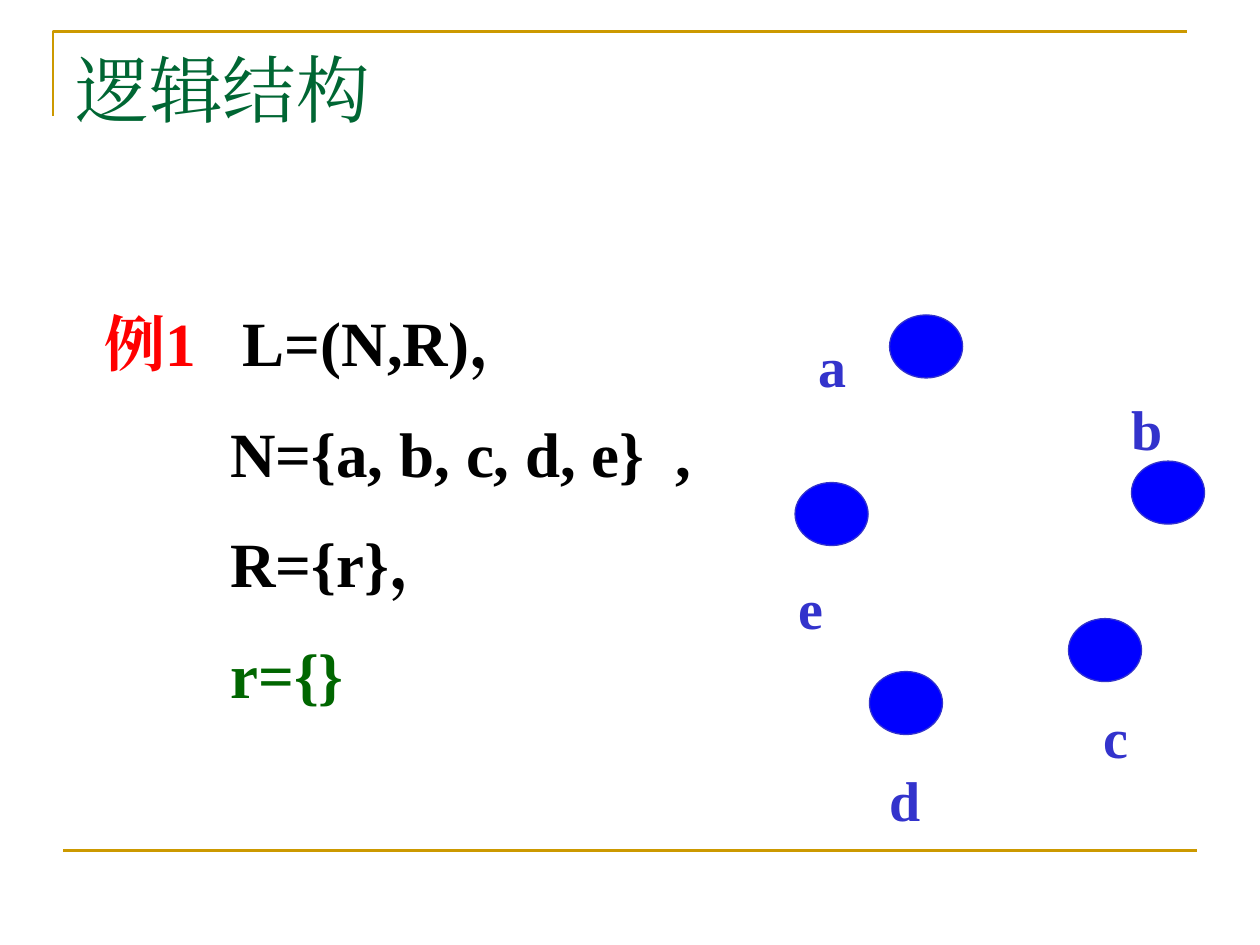
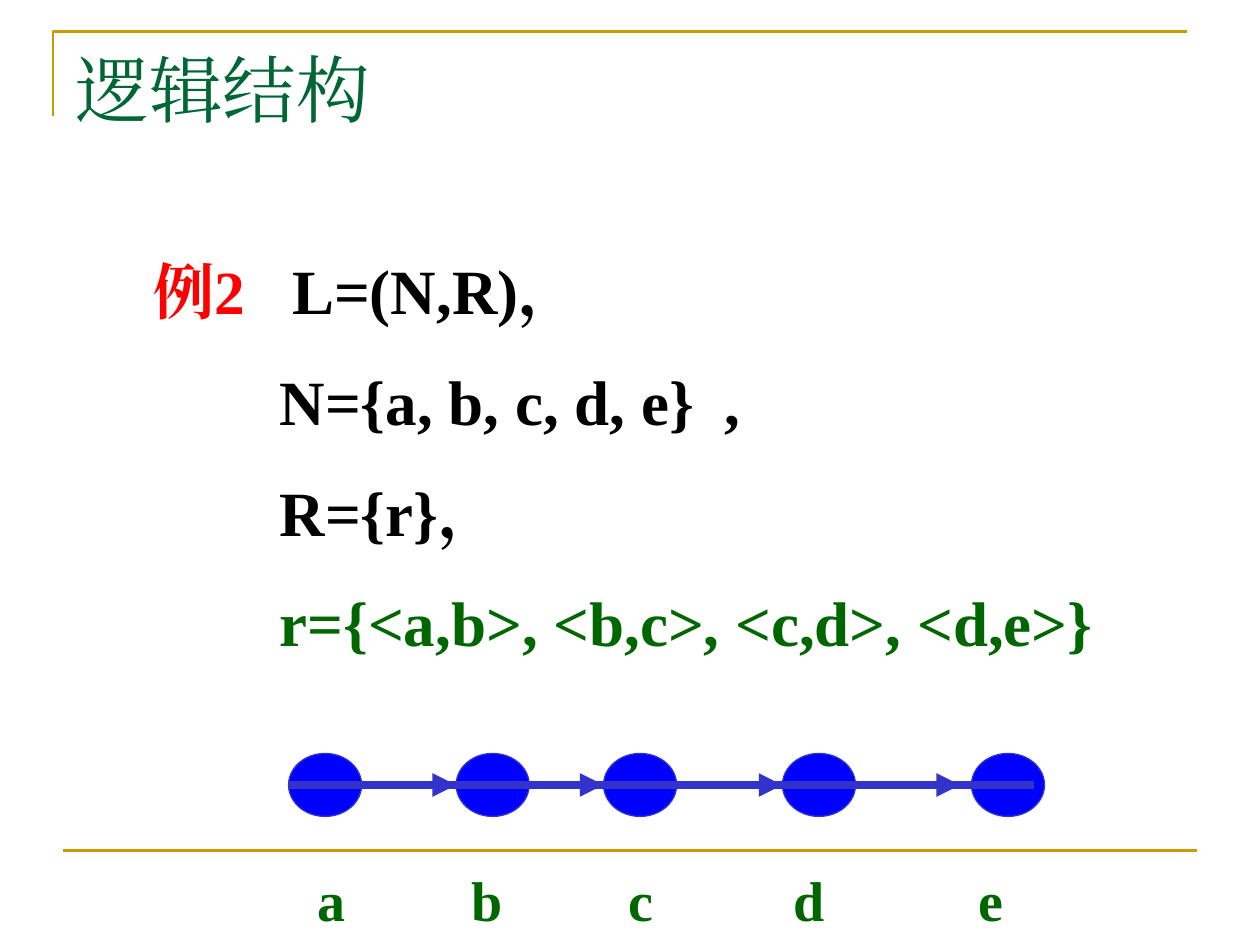
from lxml.etree import SubElement
from pptx import Presentation
from pptx.dml.color import RGBColor
from pptx.enum.shapes import MSO_CONNECTOR, MSO_SHAPE
from pptx.enum.text import MSO_ANCHOR, PP_ALIGN
from pptx.oxml.ns import qn
from pptx.util import Inches, Pt

GOLD = RGBColor(0xCC, 0x99, 0x00)
TITLE_GREEN = RGBColor(0x00, 0x66, 0x33)
GREEN = RGBColor(0x00, 0x66, 0x00)
RED = RGBColor(0xFF, 0x00, 0x00)
BLACK = RGBColor(0x00, 0x00, 0x00)
NODE_BLUE = RGBColor(0x00, 0x00, 0xFF)
EDGE_BLUE = RGBColor(0x33, 0x33, 0xCC)
FONT = "Times New Roman"
NODE_WIDTH, NODE_HEIGHT = 0.58, 0.5


def write(para, text, size=36, color=BLACK, bold=True, tabs=(), tab_align="l"):
    """Append a formatted span; tabs are stops in inches from the text edge."""
    if tabs:
        tab_list = SubElement(para._p.get_or_add_pPr(), qn("a:tabLst"))
        for stop in tabs:
            SubElement(tab_list, qn("a:tab"), pos=str(Inches(stop)), algn=tab_align)
    span = para.add_run()
    span.text = text
    span.font.size = Pt(size)
    span.font.bold = bold
    span.font.color.rgb = color
    span.font.name = FONT
    SubElement(span._r.get_or_add_rPr(), qn("a:ea"), typeface=FONT)


def add_line(page, x1, y1, x2, y2, color, width, arrow=False):
    line = page.shapes.add_connector(
        MSO_CONNECTOR.STRAIGHT, Inches(x1), Inches(y1), Inches(x2), Inches(y2))
    line.line.color.rgb = color
    line.line.width = Pt(width)
    if arrow:
        SubElement(line.line._get_or_add_ln(), qn("a:tailEnd"), type="triangle")
    SubElement(line._element.spPr, qn("a:effectLst"))


deck = Presentation()
deck.slide_width, deck.slide_height = Inches(10), Inches(7.5)

# Each example: number, definition box (left, top, width), relation, node corners
examples = [
    ("例1", (0.73, 2.31, 10.33), "r={}",
     [(7.06, 2.5), (8.98, 3.66), (8.48, 4.91), (6.9, 5.33), (6.31, 3.83)]),
    ("例2", (1.12, 1.9, 8.29), "r={<a,b>, <b,c>, <c,d>, <d,e>}",
     [(x, 5.98) for x in (2.29, 3.62, 4.79, 6.21, 7.71)]),
]

for number, (left, top, width), relation, nodes in examples:
    page = deck.slides.add_slide(deck.slide_layouts[5])

    # Frame and title
    corner = page.shapes.build_freeform(Inches(0.42), Inches(0.92))
    corner.add_line_segments(
        [(Inches(0.42), Inches(0.25)), (Inches(9.42), Inches(0.25))], close=False)
    frame = corner.convert_to_shape()
    frame.shadow.inherit = False
    frame.fill.background()
    frame.line.color.rgb = GOLD
    frame.line.width = Pt(1.5)
    add_line(page, 0.5, 6.75, 9.5, 6.75, GOLD, 1.5)

    title = page.shapes.title
    title.left, title.top = Inches(0.5), Inches(0.3)
    title.width, title.height = Inches(9), Inches(1.25)
    title.text_frame.vertical_anchor = MSO_ANCHOR.TOP
    heading = title.text_frame.paragraphs[0]
    heading.alignment = PP_ALIGN.LEFT
    write(heading, "逻辑结构", size=42, color=TITLE_GREEN, bold=False)

    # Definition of the structure
    box = page.shapes.add_textbox(Inches(left), Inches(top), Inches(width), Inches(3.4))
    box.text_frame.word_wrap = True
    box.text_frame.margin_top = Inches(0.1)
    para = box.text_frame.paragraphs[0]
    write(para, number, size=35, color=RED, tabs=[1.1])
    write(para, "\tL=(N,R)，")
    for text, color in (("N={a, b, c, d, e}\t,", BLACK), ("R={r}，", BLACK),
                        (relation, GREEN)):
        para = box.text_frame.add_paragraph()
        para.space_before = Pt(20)
        write(para, "\t" + text, color=color, tabs=[1, 4.53])

    # Nodes
    for x, y in nodes:
        node = page.shapes.add_shape(MSO_SHAPE.OVAL, Inches(x), Inches(y),
                                     Inches(NODE_WIDTH), Inches(NODE_HEIGHT))
        node.shadow.inherit = False
        node.fill.solid()
        node.fill.fore_color.rgb = NODE_BLUE
        node.line.color.rgb = EDGE_BLUE
        node.line.width = Pt(0.75)

    if number == "例1":
        # Unconnected nodes, each with its own label
        label_corners = [(6.23, 2.58), (8.73, 3.08), (8.48, 5.53), (6.81, 6.03), (6.06, 4.5)]
        for name, (x, y) in zip("abcde", label_corners):
            label = page.shapes.add_textbox(Inches(x), Inches(y), Inches(0.75), Inches(0.63))
            label.text_frame.word_wrap = True
            para = label.text_frame.paragraphs[0]
            para.alignment = PP_ALIGN.CENTER
            write(para, name, size=32, color=EDGE_BLUE)
    else:
        # Chain of nodes with one row of labels
        chain_y = 6.23
        add_line(page, 2.29, chain_y, 8.21, chain_y, EDGE_BLUE, 4.5)
        for tip in (3.62, 4.79, 6.21, 7.62):
            add_line(page, tip - 0.17, chain_y, tip, chain_y, EDGE_BLUE, 4.5, arrow=True)
        labels = page.shapes.add_textbox(Inches(1.87), Inches(6.82), Inches(8), Inches(0.63))
        labels.text_frame.word_wrap = True
        write(labels.text_frame.paragraphs[0], "\ta\tb\tc\td\te", size=32, color=GREEN,
              tabs=[0.66, 1.9, 3.12, 4.45, 5.9], tab_align="ctr")

deck.save("out.pptx")
